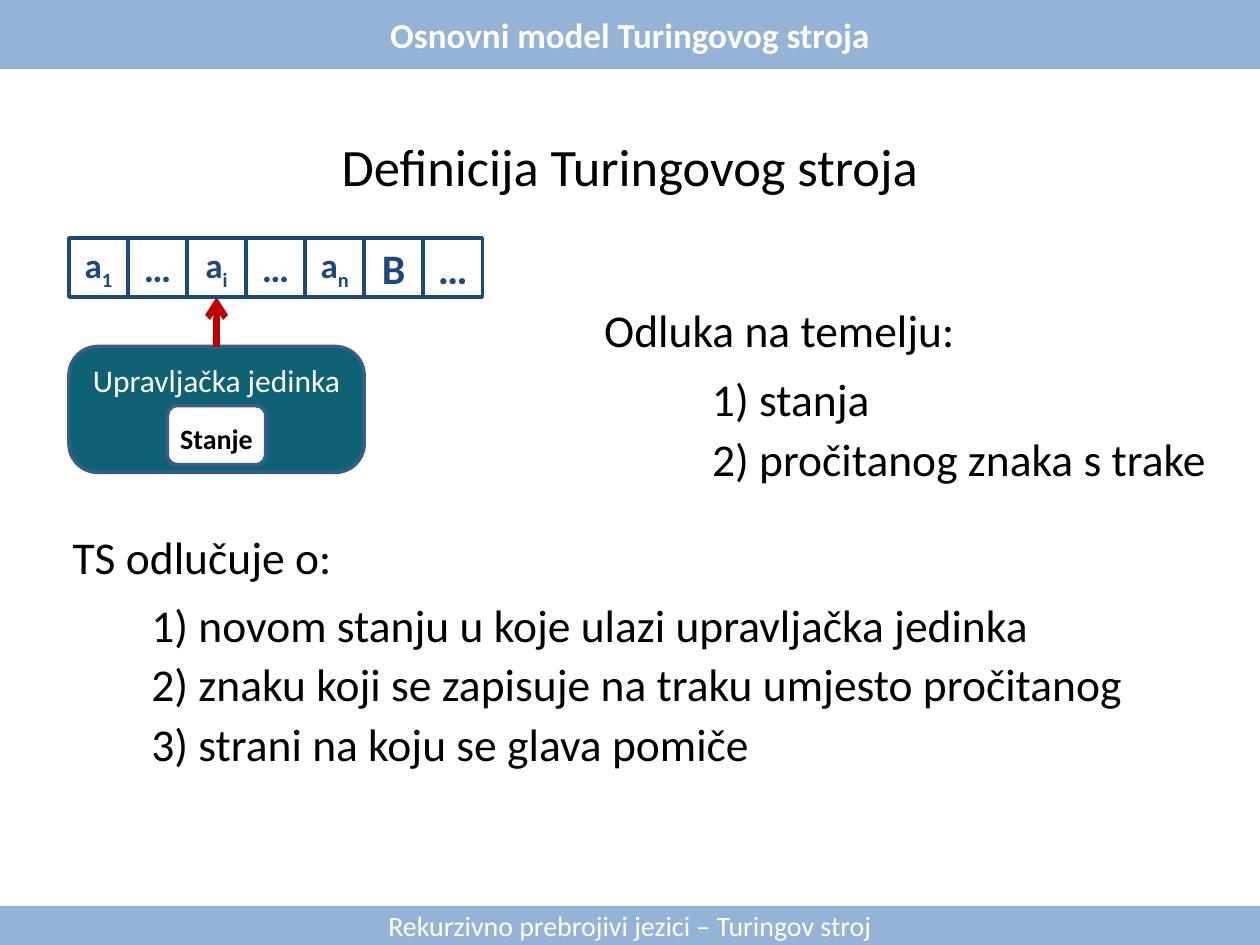
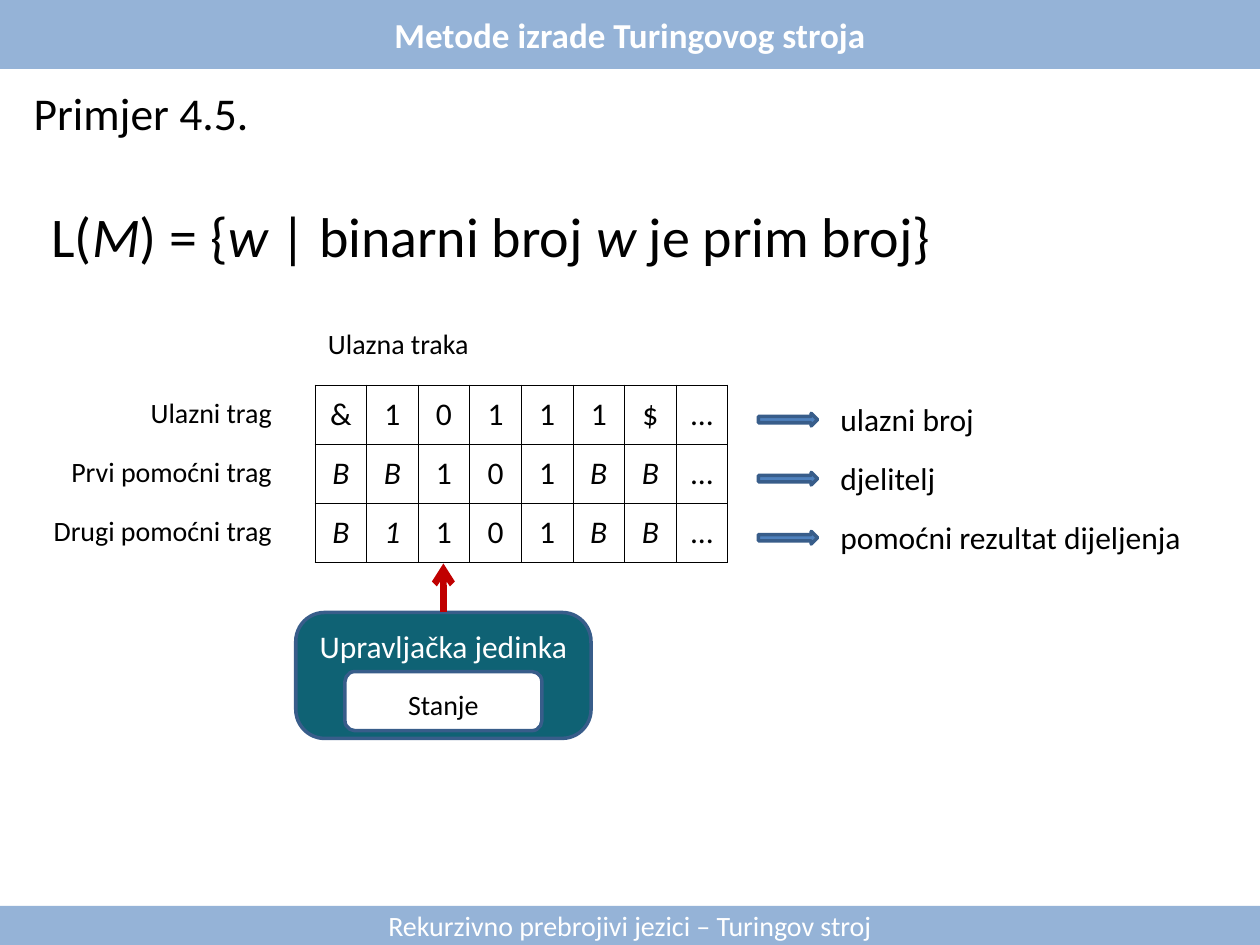
from dataclasses import dataclass
from pptx import Presentation
from pptx import util as u
from pptx.dml import color as col
from pptx.enum import shapes, text
from pptx.oxml import parse_xml
from pptx.oxml import ns

Pt, RGB = u.Pt, col.RGBColor.from_string
KIND, ALIGN = shapes.MSO_SHAPE, text.PP_ALIGN
MID, TOP = text.MSO_ANCHOR.MIDDLE, text.MSO_ANCHOR.TOP


@dataclass(frozen=True)
class Theme:
    font: str = "Calibri"
    band: str = "95B3D7"
    white: str = "FFFFFF"
    black: str = "000000"
    navy: str = "1F497D"
    teal: str = "0F6274"
    edge: str = "385D8A"
    blue: str = "4F81BD"
    red: str = "C00000"
    formula: int = 32
    head: int = 30
    body: int = 26
    symbol: int = 24
    dots: int = 22
    title: int = 20
    note: int = 18
    small: int = 16


th = Theme()


def write(box, runs, size, ink=th.black, bold=False, align=ALIGN.CENTER,
          anchor=MID, wrap=True):
    """Fill a shape or cell with (text, style) runs: "" plain, "i" italic, "s" subscript."""
    frame = box.text_frame
    frame.word_wrap = wrap
    box.vertical_anchor = frame.vertical_anchor = anchor
    para = frame.paragraphs[0]
    para.alignment = align
    for words, style in runs:
        run = para.add_run()
        run.text = words
        font = run.font
        font.name, font.size, font.bold = th.font, Pt(size), bold
        font.italic = style == "i"
        font.color.rgb = RGB(ink)
        if style == "s":
            run._r.get_or_add_rPr().set("baseline", "-25000")


def draw(slide, kind, x, y, w, h, fill=None, line=None):
    """Add a preset shape, with a 2 pt outline if a line colour is given."""
    shape = slide.shapes.add_shape(kind, Pt(x), Pt(y), Pt(w), Pt(h))
    shape.shadow.inherit = False
    if fill:
        shape.fill.solid()
        shape.fill.fore_color.rgb = RGB(fill)
    else:
        shape.fill.background()
    if line:
        shape.line.color.rgb = RGB(line)
        shape.line.width = Pt(2)
    else:
        shape.line.fill.background()
    return shape


prs = Presentation()
prs.slide_width, prs.slide_height = Pt(720), Pt(540)
step = 33.75  # side of a tape cell and height of a track

# Shared parts: title band, footer, control unit and head
plans = [
    ("Osnovni model Turingovog stroja", 39.38, 198, 56.25, True),
    ("Metode izrade Turingovog stroja", 169, 350, 112.5, False),
]
slides, heads = [], []
for name, x, y, wide, bold in plans:
    slide = prs.slides.add_slide(prs.slide_layouts[5])
    title = slide.shapes.title
    title.left, title.top, title.width, title.height = Pt(0), Pt(0), Pt(720), Pt(39.4)
    title.fill.solid()
    title.fill.fore_color.rgb = RGB(th.band)
    title.text_frame.auto_size = text.MSO_AUTO_SIZE.NONE
    write(title, [(name, "")], th.title, th.white, True)

    foot = draw(slide, KIND.RECTANGLE, 0, 517.7, 720, 22.3, th.band)
    write(foot, [("Rekurzivno prebrojivi jezici – Turingov stroj", "")],
          th.small, th.white)

    unit = draw(slide, KIND.ROUNDED_RECTANGLE, x, y, 5 * step, 72, th.teal, th.edge)
    unit.adjustments[0] = 0.23
    write(unit, [("Upravljačka jedinka", "")], th.note, th.white, anchor=TOP)
    state = draw(slide, KIND.ROUNDED_RECTANGLE, x + (5 * step - wide) / 2, y + step,
                 wide, step, th.white, th.edge)
    state.text_frame.margin_top = Pt(7)
    write(state, [("Stanje", "")], th.small, bold=bold, wrap=False)

    mid = Pt(x + 2.5 * step)
    head = slide.shapes.add_connector(shapes.MSO_CONNECTOR.STRAIGHT,
                                      mid, Pt(y), mid, Pt(y - 28))
    head.begin_connect(unit, 0)
    head.line.color.rgb = RGB(th.red)
    head.line.width = Pt(3.75)
    head.line._get_or_add_ln().append(
        parse_xml(f'<a:tailEnd {ns.nsdecls("a")} type="arrow"/>'))
    head._element.spPr.append(parse_xml(f'<a:effectLst {ns.nsdecls("a")}/>'))
    slides.append(slide)
    heads.append(head)
model, method = slides

# Slide 1: tape cells
tape = [
    ([("a", ""), ("1", "s")], th.title),
    ([("…", "")], th.dots),
    ([("a", ""), ("i", "s")], th.title),
    ([("…", "")], th.dots),
    ([("a", ""), ("n", "s")], th.title),
    ([("B", "")], th.symbol),
    ([("…", "")], th.symbol),
]
for i, (runs, size) in enumerate(tape):
    cell = draw(model, KIND.RECTANGLE, 39.38 + i * step, 136, step, step,
                line=th.navy)
    write(cell, runs, size, th.navy, True)
    if i == 2:
        heads[0].end_connect(cell, 2)

# Slide 2: three-track tape
tracks = [
    "& 1 0 1 1 1 $ ...",
    "_B _B 1 0 1 _B _B ...",
    "_B _1 1 0 1 _B _B ...",
]  # a leading underscore marks italics
grid = method.shapes.add_table(3, 8, Pt(180), Pt(220), Pt(236), Pt(3 * step)).table
grid.first_row = grid.horz_banding = False
for column in grid.columns:
    column.width = Pt(29.5)
for r, track in enumerate(tracks):
    grid.rows[r].height = Pt(step)
    for c, sign in enumerate(track.split()):
        cell = grid.cell(r, c)
        style = "i" if sign.startswith("_") else ""
        write(cell, [(sign.lstrip("_"), style)], th.note)
        props = cell._tc.get_or_add_tcPr()
        for side in ("lnL", "lnR", "lnT", "lnB"):
            props.append(parse_xml(
                f'<a:{side} {ns.nsdecls("a")} w="{Pt(0.45)}"><a:solidFill>'
                f'<a:srgbClr val="{th.black}"/></a:solidFill></a:{side}>'))
        cell.fill.background()

# Text lines: slide, left, top, width, height, size, alignment, runs
left, right = ALIGN.LEFT, ALIGN.RIGHT
lines = [
    (model, 115, 73, 490, 43, th.head, ALIGN.CENTER,
     [("Definicija Turingovog stroja", "")]),
    (method, 22.3, 111.6, 658, 46, th.formula, left,
     [("L(", ""), ("M", "i"), (") = {", ""), ("w", "i"),
      (" | binarni broj ", ""), ("w", "i"), (" je prim broj}", "")]),
    (method, 180.3, 183, 106, 26.6, th.small, left, [("Ulazna traka", "")]),
]
for slide, x, y, w, words in [
    (model, 338.2, 169, 227, "Odluka na temelju:"),
    (model, 399.8, 208.4, 117, "1) stanja"),
    (model, 399.8, 242.6, 312, "2) pročitanog znaka s trake"),
    (model, 34.5, 298.6, 174, "TS odlučuje o:"),
    (model, 79.4, 337.5, 532, "1) novom stanju u koje ulazi upravljačka jedinka"),
    (model, 79.4, 371.6, 585, "2) znaku koji se zapisuje na traku umjesto pročitanog"),
    (model, 79.4, 405.5, 370, "3) strani na koju se glava pomiče"),
    (method, 12.2, 45, 150, "Primjer 4.5."),
]:
    lines.append((slide, x, y, w, 39, th.body, left, [(words, "")]))

# Slide 2: track names, arrows and meanings
names = ["Ulazni trag", "Prvi pomoćni trag", "Drugi pomoćni trag"]
means = [("ulazni broj", 102), ("djelitelj", 80), ("pomoćni rezultat dijeljenja", 221)]
for i, (name, (mean, wide)) in enumerate(zip(names, means)):
    down = i * step
    lines.append((method, 18, 222.5 + down, 144.4, 26.6, th.small, right,
                  [(name, "")]))
    lines.append((method, 473.2, 225.2 + down, wide, 29, th.note, left,
                  [(mean, "")]))
    draw(method, KIND.RIGHT_ARROW, 433.4, 236.2 + down, step, 7.2, th.blue, th.edge)

for slide, x, y, w, h, size, align, runs in lines:
    box = slide.shapes.add_textbox(Pt(x), Pt(y), Pt(w), Pt(h))
    write(box, runs, size, align=align, anchor=TOP)

prs.save("out.pptx")
